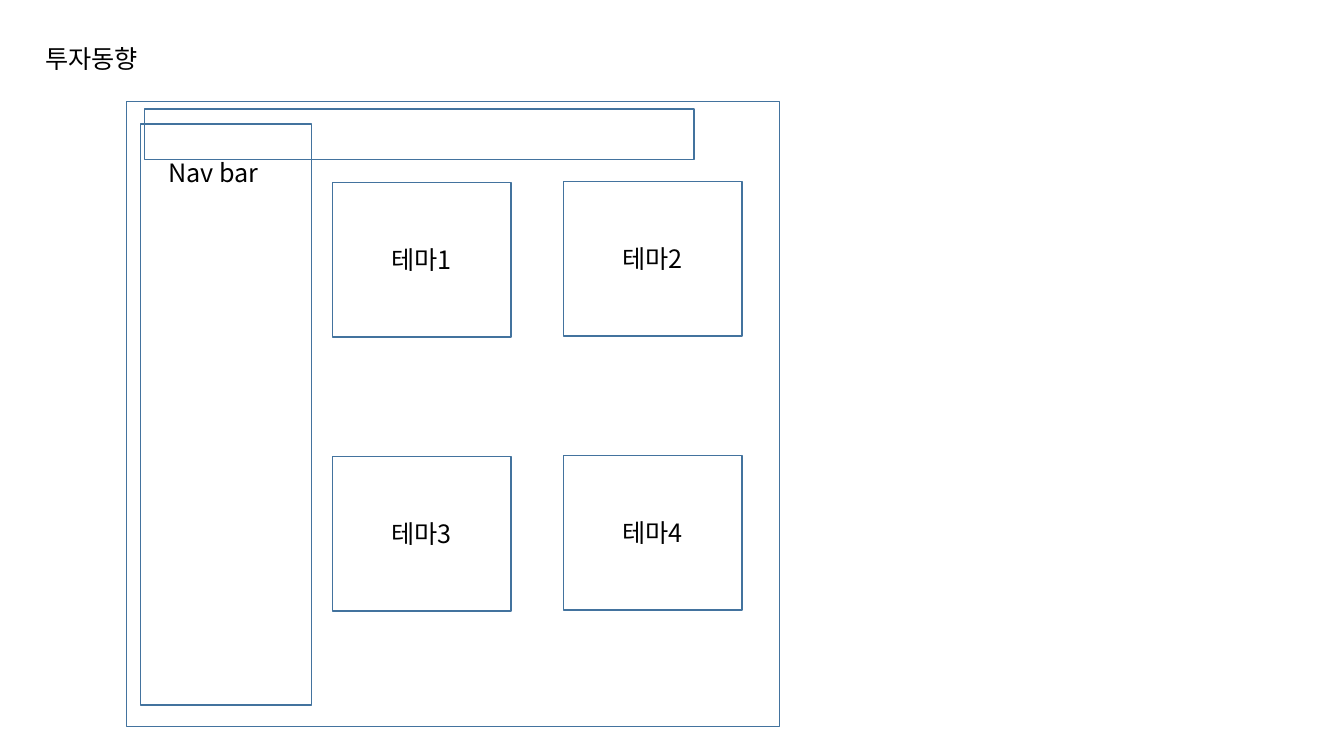
"""Build the wireframe slide for the investment trends page."""
import pptx
import pptx.dml.color
import pptx.enum.shapes
import pptx.enum.text
import pptx.oxml
import pptx.oxml.ns
import pptx.util

BLACK = pptx.dml.color.RGBColor(0x00, 0x00, 0x00)
STEEL_BLUE = pptx.dml.color.RGBColor(0x43, 0x73, 0x9E)
FONT = "Noto Sans CJK KR"
ALIGN = pptx.enum.text.PP_ALIGN
ANCHOR = pptx.enum.text.MSO_ANCHOR


def write(frame, text, size=18, color=BLACK, align=ALIGN.LEFT, anchor=ANCHOR.TOP, wrap=False):
    frame.word_wrap = wrap
    frame.vertical_anchor = anchor
    para = frame.paragraphs[0]
    para.alignment = align
    span = para.add_run()
    span.text = text
    span.font.name = FONT
    span.font.size = pptx.util.Pt(size)
    span.font.color.rgb = color
    east_asian = pptx.oxml.parse_xml(
        f'<a:ea {pptx.oxml.ns.nsdecls("a")} typeface="{FONT}"/>')
    span.font._element.find(pptx.oxml.ns.qn("a:latin")).addnext(east_asian)


class Wireframe:
    def __init__(self, page, line_color=STEEL_BLUE, line_width=1):
        self.page = page
        self.line_color = line_color
        self.line_width = line_width

    def title(self, text, *bounds):
        box = self.page.shapes.title
        box.left, box.top, box.width, box.height = map(pptx.util.Pt, bounds)
        write(box.text_frame, text)
        box.text_frame.auto_size = pptx.enum.text.MSO_AUTO_SIZE.SHAPE_TO_FIT_TEXT

    def label(self, text, *bounds):
        box = self.page.shapes.add_textbox(*map(pptx.util.Pt, bounds))
        write(box.text_frame, text)
        box.text_frame.auto_size = pptx.enum.text.MSO_AUTO_SIZE.SHAPE_TO_FIT_TEXT

    def panel(self, *bounds, text=""):
        box = self.page.shapes.add_shape(
            pptx.enum.shapes.MSO_SHAPE.RECTANGLE, *map(pptx.util.Pt, bounds))
        box.shadow.inherit = False
        box.fill.background()
        box.line.color.rgb = self.line_color
        box.line.width = pptx.util.Pt(self.line_width)
        if text:
            write(box.text_frame, text, align=ALIGN.CENTER, anchor=ANCHOR.MIDDLE, wrap=True)


def main():
    deck = pptx.Presentation()
    deck.slide_width = pptx.util.Pt(960)
    deck.slide_height = pptx.util.Pt(540)
    wireframe = Wireframe(deck.slides.add_slide(deck.slide_layouts.get_by_name("Title Only")))

    wireframe.title("투자동향", 25.2, 27.4, 87.1, 29)
    wireframe.panel(90.5, 72.5, 466.5, 446.4)
    wireframe.panel(100.3, 88.5, 122.4, 415)
    wireframe.label("Nav bar", 113, 108.7, 79.9, 29)
    wireframe.panel(103, 78, 392.8, 36)

    for index in range(4):
        row, column = divmod(index, 2)
        wireframe.panel(237.5 + 165 * column, 130.3 + 195.8 * row - 0.7 * column,
                        127.5, 110.5, text=f"테마{index + 1}")

    deck.save("out.pptx")


if __name__ == "__main__":
    main()
